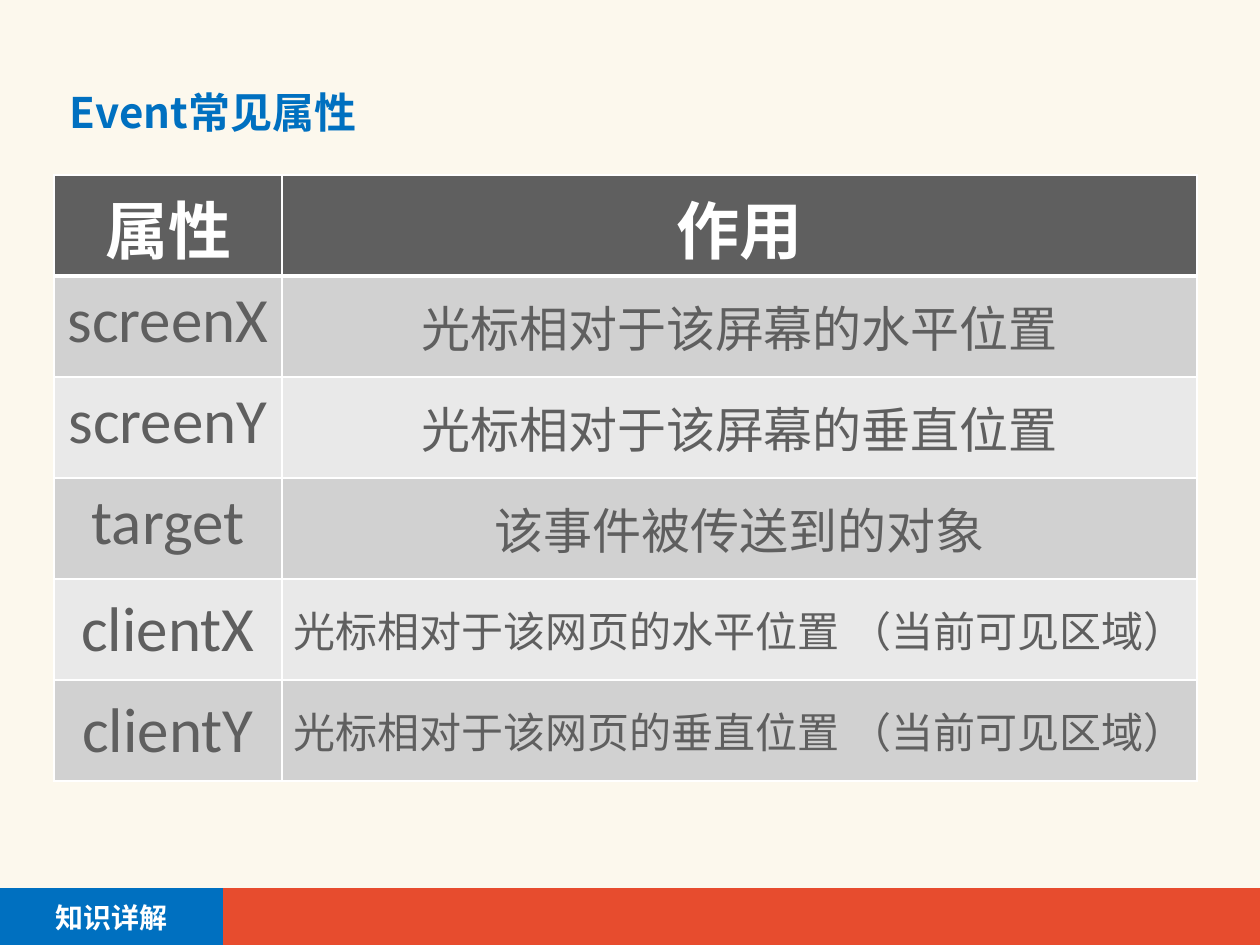
from lxml.etree import SubElement
from pptx import Presentation
from pptx.dml.color import RGBColor
from pptx.enum.shapes import MSO_SHAPE
from pptx.enum.text import MSO_ANCHOR, MSO_AUTO_SIZE, PP_ALIGN
from pptx.oxml import parse_xml
from pptx.oxml.ns import nsdecls, qn
from pptx.util import Emu, Pt

WIDTH, HEIGHT = 1260, 945
PX_PER_INCH = 126

CREAM = RGBColor(0xFC, 0xF8, 0xED)
RED = RGBColor(0xE7, 0x4C, 0x2E)
BLUE = RGBColor(0x00, 0x70, 0xC0)
WHITE = RGBColor(0xFF, 0xFF, 0xFF)
GRAY = RGBColor(0x5F, 0x5F, 0x5F)
BANDS = RGBColor(0xD1, 0xD1, 0xD1), RGBColor(0xE9, 0xE9, 0xE9)

HEADER = "属性", "作用"
# Name, its anchor, description, description size
ROWS = [
    ("screenX", MSO_ANCHOR.TOP, "光标相对于该屏幕的水平位置", 28),
    ("screenY", MSO_ANCHOR.TOP, "光标相对于该屏幕的垂直位置", 28),
    ("target", MSO_ANCHOR.TOP, "该事件被传送到的对象", 28),
    ("clientX", MSO_ANCHOR.MIDDLE, "光标相对于该网页的水平位置 （当前可见区域）", 24),
    ("clientY", MSO_ANCHOR.MIDDLE, "光标相对于该网页的垂直位置 （当前可见区域）", 24),
]


def px(n):
    return Emu(round(n * 914400 / PX_PER_INCH))


class SlideBuilder:
    cjk = "Noto Sans CJK SC"
    latin = "Calibri"
    inset = px(6)

    def __init__(self, slide):
        self.s = slide

    def background(self, color):
        fill = self.s.background.fill
        fill.solid()
        fill.fore_color.rgb = color

    def set_text(self, tf, text, size, color, bold=False, font=cjk, align=PP_ALIGN.CENTER):
        tf.word_wrap = True
        p = tf.paragraphs[0]
        p.text = text
        p.alignment = align
        f = p.font
        f.size, f.bold, f.name = Pt(size), bold, font
        f.color.rgb = color
        # East Asian glyphs take their own typeface
        rpr = p._p.pPr.find(qn("a:defRPr"))
        SubElement(rpr, qn("a:ea")).set("typeface", font)
        return p

    def margins(self, box):
        box.margin_left = box.margin_right = self.inset
        box.margin_top = box.margin_bottom = self.inset

    def title(self, text, x, y, w, h):
        sp = self.s.shapes.title
        sp.left, sp.top, sp.width, sp.height = map(px, (x, y, w, h))
        tf = sp.text_frame
        tf.auto_size = MSO_AUTO_SIZE.NONE
        tf.vertical_anchor = MSO_ANCHOR.BOTTOM
        self.margins(tf)
        p = self.set_text(tf, text, 24, BLUE, bold=True, align=PP_ALIGN.LEFT)
        p.line_spacing = 0.9

    def bar(self, x, y, w, h, color):
        sp = self.s.shapes.add_shape(MSO_SHAPE.RECTANGLE, *map(px, (x, y, w, h)))
        sp.shadow.inherit = False
        sp.fill.solid()
        sp.fill.fore_color.rgb = color
        sp.line.fill.background()

    def label(self, text, x, y, w, h):
        tf = self.s.shapes.add_textbox(*map(px, (x, y, w, h))).text_frame
        tf.vertical_anchor = MSO_ANCHOR.MIDDLE
        self.margins(tf)
        self.set_text(tf, text, 16, WHITE, bold=True)

    def cell(self, cell, text, size, color, fill, anchor, top=1, bottom=1, **style):
        self.margins(cell)
        cell.vertical_anchor = anchor
        cell.fill.solid()
        cell.fill.fore_color.rgb = fill
        self.set_text(cell.text_frame, text, size, color, **style)
        # Borders go before the fill
        tc_pr = cell._tc.get_or_add_tcPr()
        for i, (side, width) in enumerate(zip("LRTB", (1, 1, top, bottom))):
            tc_pr.insert(i, parse_xml(
                f'<a:ln{side} {nsdecls("a")} w="{Pt(width)}"><a:solidFill>'
                f'<a:srgbClr val="{WHITE}"/></a:solidFill></a:ln{side}>'))

    def table(self, x, y, col_widths, row_height):
        n = len(ROWS) + 1
        size = px(sum(col_widths)), px(row_height * n)
        table = self.s.shapes.add_table(n, len(col_widths), px(x), px(y), *size).table
        for col, w in zip(table.columns, col_widths):
            col.width = px(w)
        for row in table.rows:
            row.height = px(row_height)
        for c, text in enumerate(HEADER):
            self.cell(table.cell(0, c), text, 36, WHITE, GRAY, MSO_ANCHOR.TOP,
                      bottom=3, bold=True)
        for r, (name, anchor, use, use_size) in enumerate(ROWS, 1):
            fill = BANDS[(r - 1) % 2]
            top = 3 if r == 1 else 1
            self.cell(table.cell(r, 0), name, 36, GRAY, fill, anchor, top,
                      font=self.latin)
            self.cell(table.cell(r, 1), use, use_size, GRAY, fill,
                      MSO_ANCHOR.MIDDLE, top)


def main():
    prs = Presentation()
    prs.slide_width, prs.slide_height = px(WIDTH), px(HEIGHT)
    b = SlideBuilder(prs.slides.add_slide(prs.slide_layouts.get_by_name("Title Only")))
    b.background(CREAM)

    # Footer
    b.bar(0, 888, WIDTH, 57, RED)
    b.bar(0, 888, 223, 57, BLUE)
    b.label("知识详解", 0, 891, 223, 52)

    # Title and property table
    b.title("Event常见属性", 64, 55, 1143, 89)
    b.table(54, 175, (228, 915), 101)

    prs.save("out.pptx")


if __name__ == "__main__":
    main()
